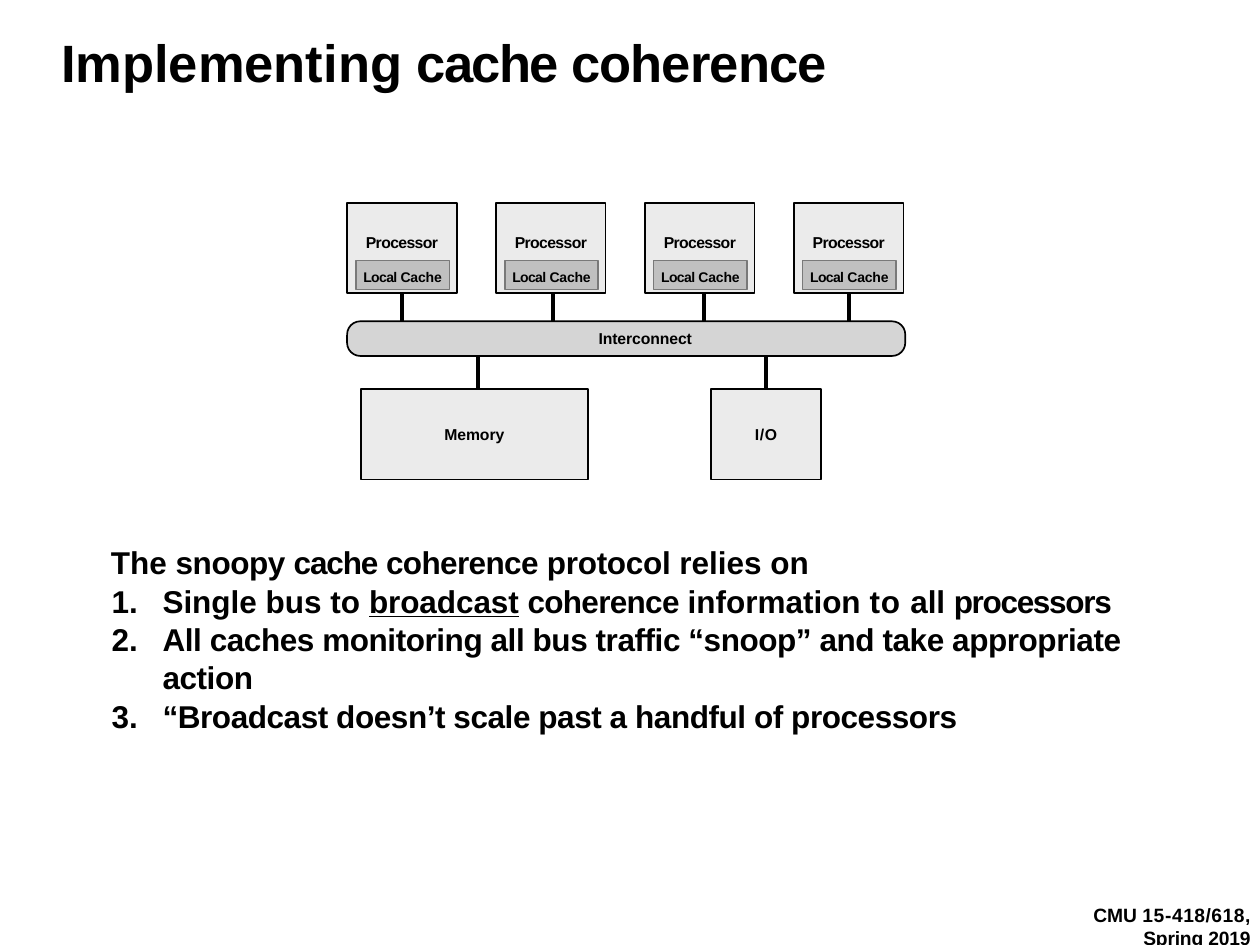
from dataclasses import dataclass

from lxml.etree import SubElement
from pptx import Presentation
from pptx.dml.color import RGBColor
from pptx.enum.shapes import MSO_CONNECTOR, MSO_SHAPE
from pptx.enum.text import MSO_ANCHOR, PP_ALIGN
from pptx.oxml.ns import qn
from pptx.util import Inches, Pt


@dataclass(frozen=True)
class Theme:
    font: str = "Arial"
    black: RGBColor = RGBColor(0x00, 0x00, 0x00)
    box: RGBColor = RGBColor(0xEB, 0xEB, 0xEB)
    bus: RGBColor = RGBColor(0xD5, 0xD5, 0xD5)
    cache: RGBColor = RGBColor(0xC0, 0xC0, 0xC0)
    cache_line: RGBColor = RGBColor(0x79, 0x79, 0x79)
    title_size: int = 60
    body_size: int = 36
    footer_size: int = 22
    label_size: int = 18
    cache_size: int = 16


theme = Theme()

presentation = Presentation()
presentation.slide_width, presentation.slide_height = Inches(20), Inches(15)
slide = presentation.slides.add_slide(presentation.slide_layouts[6])


def write(shape, lines, size, align=PP_ALIGN.LEFT, anchor=MSO_ANCHOR.TOP, left=0, top=0):
    """Fill a shape with lines, each a list of (text, letter spacing in points)."""
    frame = shape.text_frame
    frame.word_wrap = True
    frame.vertical_anchor = anchor
    frame.margin_left, frame.margin_top = Inches(left), Inches(top)
    frame.margin_right = frame.margin_bottom = 0
    for index, line in enumerate(lines):
        paragraph = frame.add_paragraph() if index else frame.paragraphs[0]
        paragraph.alignment = align
        font = paragraph.font
        font.name, font.size, font.bold = theme.font, Pt(size), True
        font.color.rgb = theme.black
        for text, spacing in line:
            run = paragraph.add_run()
            run.text = text
            if spacing:
                run._r.get_or_add_rPr().set("spc", str(round(spacing * 100)))
    return frame


def add_box(kind, left, top, width, height, fill, line=theme.black, weight=1.92):
    shape = slide.shapes.add_shape(
        kind, Inches(left), Inches(top), Inches(width), Inches(height))
    shape.shadow.inherit = False
    shape.fill.solid()
    shape.fill.fore_color.rgb = fill
    shape.line.color.rgb = line
    shape.line.width = Pt(weight)
    return shape


# Title
title = slide.shapes.add_textbox(Inches(0.96), Inches(0.45), Inches(17.88), Inches(1.03))
write(title, [[("Implementing ", 0), ("cache ", -2.1), ("coherence", -1)]],
      theme.title_size, left=0.01, top=0.03)

# Processors with their local caches
box_top, box_width, box_height = 3.22, 1.74, 1.43
processors = []
for column in range(4):
    left = 5.51 + column * 2.364
    processor = add_box(MSO_SHAPE.RECTANGLE, left, box_top, box_width, box_height, theme.box)
    write(processor, [[("Processor", -0.7)]], theme.label_size, PP_ALIGN.CENTER, top=0.48)
    processors.append(processor)
    cache = add_box(MSO_SHAPE.RECTANGLE, left + 0.14, 4.13, 1.48, 0.47,
                    theme.cache, theme.cache_line, 1.44)
    write(cache, [[("Local ", -0.7), ("Cache", -0.2)]], theme.cache_size,
          PP_ALIGN.CENTER, MSO_ANCHOR.MIDDLE, top=0.06)

# Interconnect
bus_top, bus_height = 5.1, 0.55
bus = add_box(MSO_SHAPE.ROUNDED_RECTANGLE, 5.51, bus_top, 8.86, bus_height, theme.bus)
bus.adjustments[0] = 0.38
write(bus, [[("Interconnect", -0.1)]], theme.label_size,
      anchor=MSO_ANCHOR.MIDDLE, left=3.93)

# Memory and I/O
lower_top = 6.18
lower_boxes = []
for label, left, width, spacing in [("Memory", 5.73, 3.6, -0.1), ("I/O", 11.29, box_width, 0.7)]:
    lower_box = add_box(MSO_SHAPE.RECTANGLE, left, lower_top, width, box_height, theme.box)
    write(lower_box, [[(label, spacing)]], theme.label_size,
          PP_ALIGN.CENTER, MSO_ANCHOR.MIDDLE)
    lower_boxes.append(lower_box)

# Links to the interconnect: x, start, end, box joined at its middle, side
box_bottom, bus_bottom = box_top + box_height, bus_top + bus_height
links = [
    (6.38, box_bottom, bus_top, processors[0], 2),
    (8.78, box_bottom, bus_top, None, None),
    (11.18, box_bottom, bus_top, None, None),
    (13.47, box_bottom, bus_top, processors[3], 2),
    (7.59, lower_top, bus_bottom, None, None),
    (12.16, lower_top, bus_bottom, lower_boxes[1], 0),
]
for x, start, end, joined_box, side in links:
    link = slide.shapes.add_connector(
        MSO_CONNECTOR.STRAIGHT, Inches(x), Inches(start), Inches(x), Inches(end))
    link.line.color.rgb = theme.black
    link.line.width = Pt(4.32)
    SubElement(link._element.spPr, qn("a:effectLst"))
    if joined_box is not None:
        link.begin_connect(joined_box, side)
        link.end_x = link.begin_x

# Body text with a numbered list
body = slide.shapes.add_textbox(Inches(1.75), Inches(8.61), Inches(17.09), Inches(3.71))
body_frame = write(body, [
    [("The ", 0), ("snoopy ", -0.5), ("cache ", -1.3), ("coherence ", -0.7),
     ("protocol ", -0.3), ("relies on", 0)],
    [("Single bus to ", 0), ("broadcast", -0.1), (" ", -0.1), ("coherence ", -0.8),
     ("information ", 0), ("to ", 0.9), ("all ", -0.2), ("processors", -1.5)],
    [("All caches monitoring all bus traffic “snoop” and take appropriate action", -0.5)],
    [("“Broadcast doesn’t scale past a handful of processors", -0.5)],
], theme.body_size, left=0.01, top=0.01)
for paragraph in body_frame.paragraphs:
    paragraph.space_before = Pt(1)
for paragraph in body_frame.paragraphs[1:]:
    properties = paragraph._p.get_or_add_pPr()
    properties.set("marL", str(Inches(0.82)))
    properties.set("indent", str(-Inches(0.81)))
    number_font = properties.makeelement(qn("a:buFont"), {"typeface": theme.font})
    numbering = properties.makeelement(qn("a:buAutoNum"), {"type": "arabicPeriod"})
    properties.find(qn("a:defRPr")).addprevious(number_font)
    number_font.addnext(numbering)
body_frame.paragraphs[1].runs[1].font.underline = True

# Footer
footer = slide.shapes.add_textbox(Inches(17.28), Inches(14.27), Inches(2.57), Inches(0.8))
write(footer, [[("CMU ", 0), ("15-", 0.7), ("418/618,", 0.6)], [("Spring 2019", -0.2)]],
      theme.footer_size, PP_ALIGN.RIGHT, top=0.06)

presentation.save("out.pptx")
